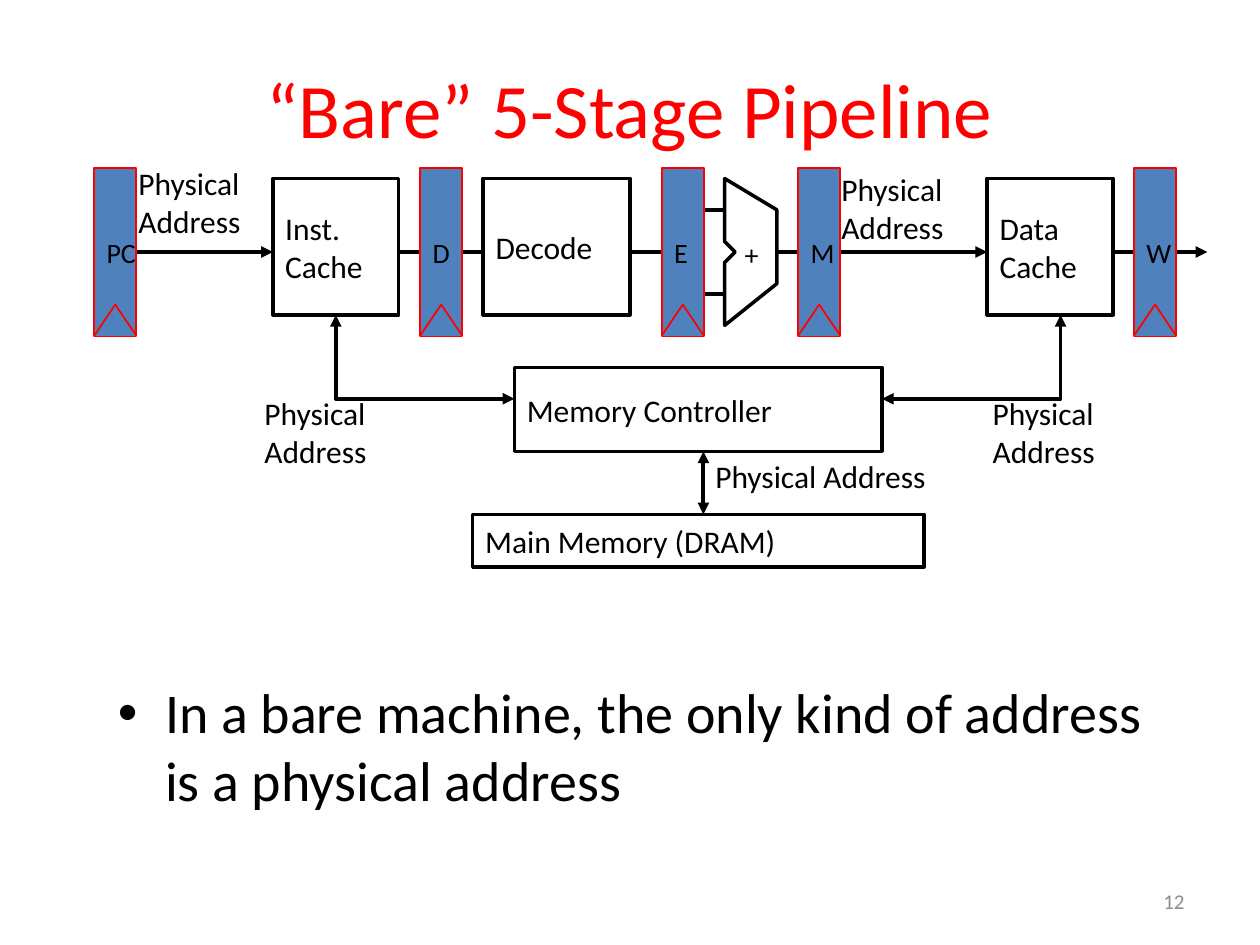
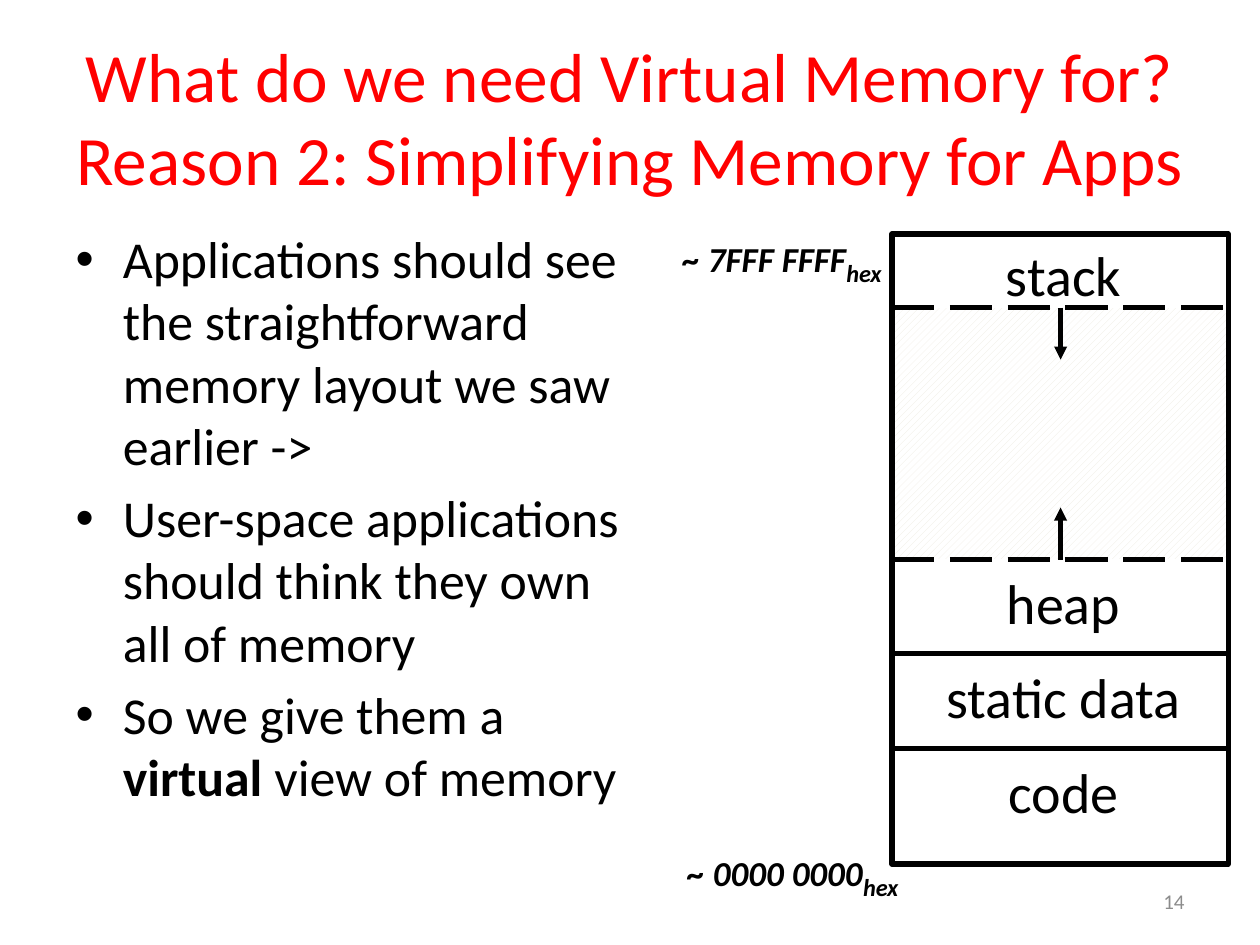
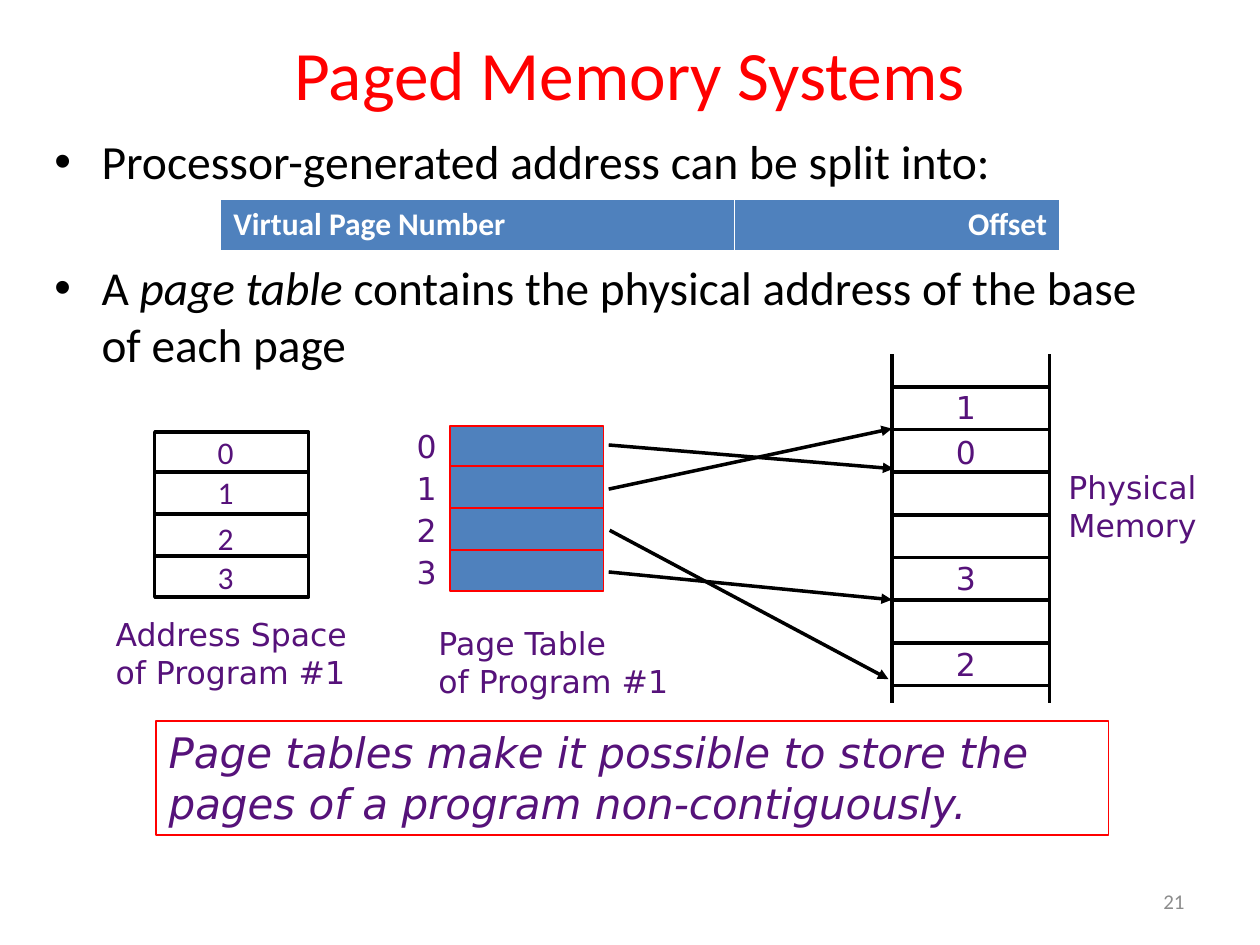
from dataclasses import dataclass, field
from typing import Any

from lxml import etree
from pptx import Presentation
from pptx import util as u
from pptx.dml import color
from pptx.enum import dml, shapes, text
from pptx.oxml import ns

COLORS = {
    "title": "FF0000", "edge": "FF0000", "ink": "000000", "paper": "FFFFFF",
    "block": "4F81BD", "purple": "56127A", "number": "8C8C8C", "hatch": "EEECE1",
}
SANS = "Calibri"
WIDE = "DejaVu Sans"
LEFT, CENTER, RIGHT = text.PP_ALIGN.LEFT, text.PP_ALIGN.CENTER, text.PP_ALIGN.RIGHT
TOP, MIDDLE = text.MSO_ANCHOR.TOP, text.MSO_ANCHOR.MIDDLE

Point = tuple[float, float]
Run = tuple[str, dict[str, Any]]


@dataclass(frozen=True)
class Frame:
    """Left, top, width and height in centimetres."""
    x: float
    y: float
    w: float
    h: float

    def apply(self, shape: Any) -> None:
        for name, value in zip(("left", "top", "width", "height"), self.lengths()):
            setattr(shape, name, value)

    def lengths(self) -> list[u.Length]:
        return [u.Cm(v) for v in (self.x, self.y, self.w, self.h)]


@dataclass(frozen=True)
class TextStyle:
    size: float = 18
    color: str = "ink"
    align: Any = LEFT
    anchor: Any = TOP
    wrap: bool = True
    font: dict[str, Any] = field(default_factory=lambda: {"name": SANS})


@dataclass(frozen=True)
class Stroke:
    color: str = "ink"
    width: float = 2
    dash: Any = None
    head: bool = False
    tail: bool = False


TITLE = TextStyle(44, "title", CENTER, MIDDLE)
NUMBER = TextStyle(12, "number", RIGHT, MIDDLE)
BLOCK_TEXT = TextStyle(anchor=MIDDLE)
REGISTER_TEXT = TextStyle(16, anchor=MIDDLE, wrap=False)
SEGMENT_TEXT = TextStyle(32, align=CENTER, wrap=False)
ADDRESS_TEXT = TextStyle(20, wrap=False, font={"name": SANS, "bold": True, "italic": True})
PAGE_TEXT = TextStyle(color="purple", wrap=False)
PAGE_TEXT_WIDE = TextStyle(color="purple", wrap=False, font={"name": WIDE})

THIN_RED = Stroke("edge", 1)
BOX_LINE = Stroke()
WIRE = Stroke(width=2.25)
ARROW = Stroke(width=2.25, tail=True)
BUS = Stroke(width=2.25, head=True, tail=True)
MAP_ARROW = Stroke(tail=True)
SEGMENT_LINE = Stroke(width=3)
BOUNDARY = Stroke(width=3, dash=dml.MSO_LINE.LONG_DASH)
GROWTH = Stroke(width=2.5, tail=True)


def rgb(name: str) -> color.RGBColor:
    return color.RGBColor.from_string(COLORS[name])


def write(tf: Any, paragraphs: list[str | list[Run]], style: TextStyle) -> None:
    """Each paragraph is a string or a list of (text, font values) runs."""
    frame_values = {"word_wrap": style.wrap, "vertical_anchor": style.anchor,
                    "auto_size": text.MSO_AUTO_SIZE.NONE}
    for name, value in frame_values.items():
        setattr(tf, name, value)
    for i, runs in enumerate(paragraphs):
        p = tf.paragraphs[0] if i == 0 else tf.add_paragraph()
        p.alignment = style.align
        for content, changes in [(runs, {})] if isinstance(runs, str) else runs:
            r = p.add_run()
            r.text = content
            values = {"size": style.size, **style.font, **changes}
            baseline = values.pop("baseline", None)
            values["size"] = u.Pt(values["size"])
            for name, value in values.items():
                setattr(r.font, name, value)
            r.font.color.rgb = rgb(style.color)
            if baseline:
                r._r.get_or_add_rPr().set("baseline", baseline)


def label(parent: Any, frame: Frame, paragraphs: list, style: TextStyle) -> None:
    write(parent.add_textbox(*frame.lengths()).text_frame, paragraphs, style)


def set_stroke(shape: Any, stroke: Stroke) -> None:
    shape.line.color.rgb = rgb(stroke.color)
    shape.line.width = u.Pt(stroke.width)
    if stroke.dash:
        shape.line.dash_style = stroke.dash
    ln = shape.element.spPr.find(ns.qn("a:ln"))
    for tag, wanted in (("a:headEnd", stroke.head), ("a:tailEnd", stroke.tail)):
        if wanted:
            etree.SubElement(ln, ns.qn(tag), type="triangle")


def set_fill(shape: Any, fill: str | None) -> None:
    if fill:
        shape.fill.solid()
        shape.fill.fore_color.rgb = rgb(fill)
    else:
        shape.fill.background()


def rect(parent: Any, frame: Frame, stroke: Stroke, fill: str | None = None,
         content: str = "", style: TextStyle = BLOCK_TEXT) -> Any:
    sp = parent.add_shape(shapes.MSO_SHAPE.RECTANGLE, *frame.lengths())
    sp.shadow.inherit = False
    set_fill(sp, fill)
    set_stroke(sp, stroke)
    if content:
        write(sp.text_frame, [content], style)
    return sp


def line(parent: Any, start: Point, end: Point, stroke: Stroke) -> None:
    ends = [u.Cm(v) for v in (*start, *end)]
    c = parent.add_connector(shapes.MSO_CONNECTOR.STRAIGHT, *ends)
    set_stroke(c, stroke)
    etree.SubElement(c.element.spPr, ns.qn("a:effectLst"))


def outline(parent: Any, points: list[Point], stroke: Stroke,
            fill: str | None = None, close: bool = False) -> None:
    pts = [(u.Cm(x), u.Cm(y)) for x, y in points]
    builder = parent.build_freeform(*pts[0], scale=1.0)
    builder.add_line_segments(pts[1:], close=close)
    sp = builder.convert_to_shape()
    sp.shadow.inherit = False
    set_fill(sp, fill)
    set_stroke(sp, stroke)


def new_slide(prs: Any, layout: int, number: str, title: str, frame: Frame,
              size: float) -> Any:
    s = prs.slides.add_slide(prs.slide_layouts[layout])
    frame.apply(s.shapes.title)
    write(s.shapes.title.text_frame, [title], TextStyle(size, TITLE.color, CENTER, MIDDLE))
    label(s.shapes, Frame(18.21, 17.65, 5.92, 1.02), [number], NUMBER)
    return s


def bullets(s: Any, idx: int, frame: Frame, paragraphs: list, size: float) -> None:
    body = s.placeholders[idx]
    frame.apply(body)
    write(body.text_frame, paragraphs, TextStyle(size))


def register(parent: Any, x: float, name: str) -> None:
    """Pipeline register with its clock notch."""
    w, top, bottom, notch = 0.85, 3.39, 6.77, 6.14
    g = parent.add_group_shape().shapes
    rect(g, Frame(x, top, w, bottom - top), THIN_RED, "block", name, REGISTER_TEXT)
    outline(g, [(x, bottom), (x + w / 2, notch), (x + w, bottom)], THIN_RED, "block")


def pipeline_slide(prs: Any) -> None:
    s = new_slide(prs, 1, "12", "“Bare” 5-Stage Pipeline", Frame(1.27, 0.76, 22.86, 2.84), 44)
    bullets(s, 1, Frame(2.12, 13.54, 21.34, 2.82),
            ["In a bare machine, the only kind of address is a physical address"], 32)
    sh = s.shapes

    axis = 5.08
    for x1, x2, stroke in ((15.66, 19.9, ARROW), (22.44, 24.34, ARROW),
                           (8.04, 13.34, WIRE), (2.75, 5.5, ARROW)):
        line(sh, (x1, axis), (x2, axis), stroke)
    for y in (4.23, 5.93):
        line(sh, (14.18, y), (14.61, y), WIRE)

    for x, name in ((1.9, "PC"), (8.47, "D"), (13.34, "E"), (16.09, "M"), (22.86, "W")):
        register(sh, x, name)
    for frame, name in (
        (Frame(5.5, 3.6, 2.54, 2.75), "Inst. Cache"),
        (Frame(9.74, 3.6, 2.96, 2.75), "Decode"),
        (Frame(19.9, 3.6, 2.54, 2.75), "Data Cache"),
        (Frame(9.53, 10.37, 9.1, 1.06), "Main Memory (DRAM)"),
        (Frame(10.37, 7.41, 7.41, 1.69), "Memory Controller"),
    ):
        rect(sh, frame, BOX_LINE, "paper", name)

    adder = [(14.61, 3.6), (14.61, 4.87), (14.82, axis), (14.61, 5.29),
             (14.61, 6.56), (15.66, 5.72), (15.66, 4.23)]
    outline(sh, adder, BOX_LINE, "paper", close=True)
    label(sh, Frame(14.76, 4.65, 0.97, 0.94), ["+"], REGISTER_TEXT)

    for cache_x, controller_x in ((21.38, 17.78), (6.77, 10.37)):
        outline(sh, [(cache_x, 6.35), (cache_x, 8.04), (controller_x, 8.04)], BUS)
    line(sh, (14.18, 9.1), (14.18, 10.37), BUS)

    for x, y in ((2.54, 3.18), (16.71, 3.3), (19.76, 7.82), (5.08, 7.82)):
        label(sh, Frame(x, y, 3.1, 1.78), ["Physical Address"], BLOCK_TEXT)
    label(sh, Frame(14.17, 9.09, 6.78, 1.02), ["Physical Address"], BLOCK_TEXT)


def layout_slide(prs: Any) -> None:
    s = new_slide(prs, 1, "14",
                  "What do we need Virtual Memory for? Reason 2: Simplifying Memory for Apps",
                  Frame(0, 0.76, 25.4, 3.18), 39.6)
    bullets(s, 1, Frame(1.27, 4.45, 12.07, 13.97), [
        "Applications should see the straightforward memory layout we saw earlier ->",
        "User-space applications should think they own all of memory",
        [("So we give them a ", {}), ("virtual", {"bold": True}), (" view of memory", {})],
    ], 29.6)
    sh = s.shapes

    x, w, stack_end, heap_end = 17.98, 6.78, 6.2, 11.28
    free = rect(sh, Frame(x, stack_end, w, heap_end - stack_end), Stroke("paper", 1))
    free.fill.patterned()
    free.fill.pattern = dml.MSO_PATTERN.WIDE_UPWARD_DIAGONAL
    free.fill.fore_color.rgb = rgb("hatch")
    free.fill.back_color.rgb = rgb("paper")
    for y, h, stroke in ((4.72, 12.7, SEGMENT_LINE), (15.09, 2.34, Stroke(width=1)),
                         (13.18, 1.91, SEGMENT_LINE)):
        rect(sh, Frame(x, y, w, h), stroke)
    for y, reach in ((heap_end, -1.05), (stack_end, 1.05)):
        line(sh, (x, y), (x + w, y), BOUNDARY)
        line(sh, (21.38, y), (21.38, y + reach), GROWTH)

    middle = 21.44
    for name, y, width in (("code", 15.14, 2.74), ("static data", 13.23, 5.28),
                           ("heap", 11.33, 2.82), ("stack", 4.72, 2.84)):
        label(sh, Frame(middle - width / 2, y, width, 1.63), [name], SEGMENT_TEXT)
    for address, frame in (("~ 7FFF FFFF", Frame(13.51, 4.52, 4.85, 1.12)),
                           ("~ 0000 0000", Frame(13.61, 16.89, 5.08, 1.12))):
        runs = [(address, {}), ("hex", {"size": 24, "baseline": "-25000"})]
        label(sh, frame, [runs], ADDRESS_TEXT)


def page_stack(parent: Any, x: float, y: float, stroke: Stroke, fill: str | None) -> None:
    """Box divided into four pages."""
    w = 3.1
    g = parent.add_group_shape().shapes
    rect(g, Frame(x, y, w, 3.33), stroke, fill)
    for i in range(3):
        divider = y + 0.8 + 0.85 * i
        line(g, (x, divider), (x + w, divider), stroke)


def page_label(parent: Any, x: float, y: float, name: str, style: TextStyle) -> None:
    label(parent, Frame(x, y, 0.9, 1.02), [name], style)


def physical_memory(parent: Any) -> None:
    left, right, top, bottom = 17.98, 21.16, 7.14, 14.17
    g = parent.add_group_shape().shapes
    for x in (left, right):
        line(g, (x, top), (x, bottom), BOX_LINE)
    for i in range(8):
        y = 7.8 + 0.86 * i
        line(g, (left, y), (right, y), BOX_LINE)
    for name, y in (("1", 7.7), ("0", 8.61), ("2", 12.88), ("3", 11.15)):
        page_label(g, 19.02, y, name, PAGE_TEXT_WIDE)


def address_table(s: Any) -> None:
    tbl = s.shapes.add_table(1, 2, *Frame(4.45, 4.01, 16.91, 1.04).lengths()).table
    columns = (("Virtual Page Number", 10.36, LEFT), ("Offset", 6.55, RIGHT))
    for i, (name, width, align) in enumerate(columns):
        tbl.columns[i].width = u.Cm(width)
        cell = tbl.cell(0, i)
        set_fill(cell, "block")
        p = cell.text_frame.paragraphs[0]
        p.alignment = align
        r = p.add_run()
        r.text = name
        for key, value in {"name": SANS, "size": u.Pt(18), "bold": True}.items():
            setattr(r.font, key, value)
        r.font.color.rgb = rgb("paper")


def paging_slide(prs: Any) -> None:
    s = new_slide(prs, 3, "21", "Paged Memory Systems", Frame(0, 0.43, 25.4, 2.06), 39.6)
    bullets(s, 1, Frame(0.84, 2.54, 21.16, 1.47),
            ["Processor-generated address can be split into:"], 27.2)
    bullets(s, 2, Frame(0.84, 5.08, 23.29, 2.64), [[
        ("A ", {}), ("page table ", {"italic": True}),
        ("contains the physical address of the base of each page", {})]], 27)
    s.placeholders[2].text_frame.paragraphs[0].space_before = u.Pt(0)
    sh = s.shapes

    rect(sh, Frame(3.15, 14.53, 19.2, 2.31), THIN_RED, None,
         "Page tables make it possible to store the pages of a program non-contiguously.",
         TextStyle(24, "purple", font={"name": WIDE, "italic": True}))
    page_stack(sh, 3.12, 8.71, BOX_LINE, None)
    page_stack(sh, 9.07, 8.59, THIN_RED, "block")
    for i, y in enumerate((8.61, 9.42, 10.34, 11.13)):
        page_label(sh, 4.14, y, str(i), PAGE_TEXT)
        page_label(sh, 8.15, 8.48 + 0.85 * i, str(i), PAGE_TEXT_WIDE)
    for owner, x, y in (("Address Space", 2.08, 12.27), ("Page Table", 8.59, 12.45)):
        label(sh, Frame(x, y, 5.3, 1.78), [owner, "of Program #1"], PAGE_TEXT_WIDE)

    for start, end in (((12.29, 10.69), (17.91, 13.69)), ((12.27, 9.86), (17.98, 8.64)),
                       ((12.27, 8.97), (18.01, 9.45)), ((12.27, 11.53), (17.98, 12.09))):
        line(sh, start, end, MAP_ARROW)
    physical_memory(sh)
    label(sh, Frame(21.29, 9.32, 4.55, 1.78), ["Physical Memory"],
          TextStyle(color="purple", font={"name": WIDE}))
    address_table(s)


def main() -> None:
    prs = Presentation()
    prs.slide_width, prs.slide_height = u.Cm(25.4), u.Cm(19.05)
    for build in (pipeline_slide, layout_slide, paging_slide):
        build(prs)
    prs.save("out.pptx")


if __name__ == "__main__":
    main()
